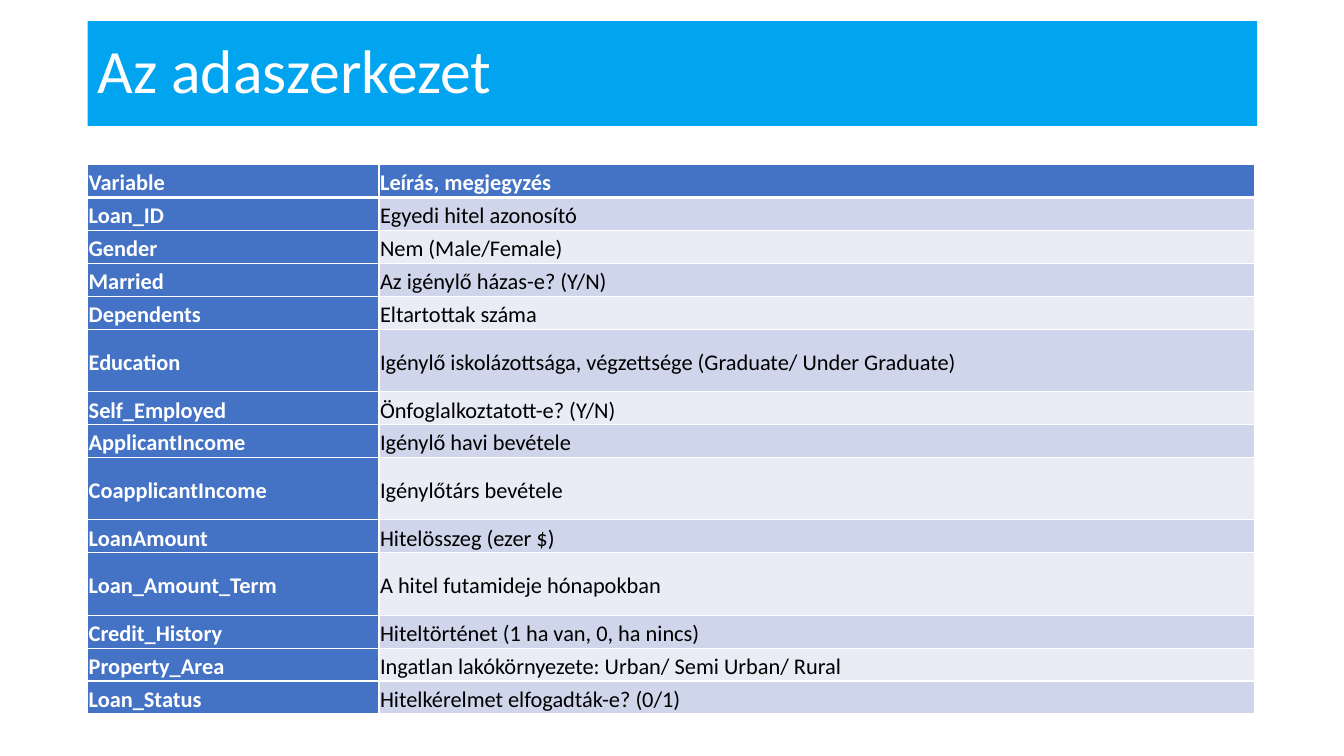
import pptx
import pptx.util
from lxml import etree
from pptx.dml.color import RGBColor
from pptx.enum.shapes import MSO_SHAPE
from pptx.enum.text import MSO_ANCHOR
from pptx.oxml.ns import qn
from pptx.util import Inches, Pt

TITLE = "Az adaszerkezet"
ROWS = [
    ("Variable", "Leírás, megjegyzés"),
    ("Loan_ID", "Egyedi hitel azonosító"),
    ("Gender", "Nem (Male/Female)"),
    ("Married", "Az igénylő házas-e? (Y/N)"),
    ("Dependents", "Eltartottak száma"),
    ("Education", "Igénylő iskolázottsága, végzettsége (Graduate/ Under Graduate)"),
    ("Self_Employed", "Önfoglalkoztatott-e? (Y/N)"),
    ("ApplicantIncome", "Igénylő havi bevétele"),
    ("CoapplicantIncome", "Igénylőtárs bevétele"),
    ("LoanAmount", "Hitelösszeg (ezer $)"),
    ("Loan_Amount_Term", "A hitel futamideje hónapokban"),
    ("Credit_History", "Hiteltörténet (1 ha van, 0, ha nincs)"),
    ("Property_Area", "Ingatlan lakókörnyezete: Urban/ Semi Urban/ Rural"),
    ("Loan_Status", "Hitelkérelmet elfogadták-e? (0/1)"),
]
TALL_ROWS = {"Education", "CoapplicantIncome", "Loan_Amount_Term"}
HEADER_HEIGHT, ROW_HEIGHT, TALL_HEIGHT = 0.33, 0.31, 0.62
COLUMN_WIDTHS = (2.89, 8.68)
LEFT, TITLE_TOP, TITLE_HEIGHT, TABLE_TOP = 0.87, 0.21, 1.04, 1.63
CELL_MARGIN = Inches(0.01)

FONT = "Calibri"
SKY = RGBColor(0x00, 0xA4, 0xEF)
TITLE_WHITE = RGBColor(0xFF, 0xFE, 0xFF)
WHITE = RGBColor(0xFF, 0xFF, 0xFF)
BLACK = RGBColor(0x00, 0x00, 0x00)
BLUE = RGBColor(0x44, 0x72, 0xC4)
BANDS = (RGBColor(0xE9, 0xEB, 0xF5), RGBColor(0xCF, 0xD5, 0xEA))


def set_font(p, size, color, bold=False):
    p.font.name = FONT
    p.font.size = Pt(size)
    p.font.color.rgb = color
    p.font.bold = bold


def set_borders(cell, top, bottom):
    """Draw white cell borders; top and bottom are widths in points."""
    tc_pr = cell._tc.get_or_add_tcPr()
    sides = (("a:lnL", 1), ("a:lnR", 1), ("a:lnT", top), ("a:lnB", bottom))
    for i, (tag, width) in enumerate(sides):
        ln = etree.Element(qn(tag), w=str(Pt(width)))
        fill = etree.SubElement(ln, qn("a:solidFill"))
        etree.SubElement(fill, qn("a:srgbClr"), val=str(WHITE))
        tc_pr.insert(i, ln)


def add_title(s):
    bar = s.shapes.add_shape(MSO_SHAPE.RECTANGLE, Inches(LEFT), Inches(TITLE_TOP),
                             Inches(11.6), Inches(TITLE_HEIGHT))
    bar.shadow.inherit = False
    bar.fill.solid()
    bar.fill.fore_color.rgb = SKY
    bar.line.fill.background()

    box = s.shapes.add_textbox(Inches(LEFT), Inches(TITLE_TOP),
                               Inches(10.47), Inches(TITLE_HEIGHT))
    tf = box.text_frame
    tf.word_wrap = True
    tf.vertical_anchor = MSO_ANCHOR.MIDDLE
    p = tf.paragraphs[0]
    p.text = TITLE
    p.line_spacing = 0.9
    set_font(p, 44, TITLE_WHITE)


def add_variable_table(s):
    heights = [HEADER_HEIGHT] + [TALL_HEIGHT if name in TALL_ROWS else ROW_HEIGHT
                                 for name, _ in ROWS[1:]]
    table = s.shapes.add_table(len(ROWS), len(COLUMN_WIDTHS), Inches(LEFT), Inches(TABLE_TOP),
                               Inches(sum(COLUMN_WIDTHS)), Inches(sum(heights))).table
    table.first_col = True
    for column, width in zip(table.columns, COLUMN_WIDTHS):
        column.width = Inches(width)
    for r, (texts, height) in enumerate(zip(ROWS, heights)):
        table.rows[r].height = Inches(height)
        for c, text in enumerate(texts):
            heading = r == 0 or c == 0
            cell = table.cell(r, c)
            cell.margin_left = cell.margin_right = CELL_MARGIN
            cell.margin_top = cell.margin_bottom = CELL_MARGIN
            cell.vertical_anchor = MSO_ANCHOR.MIDDLE
            cell.fill.solid()
            cell.fill.fore_color.rgb = BLUE if heading else BANDS[r % 2]
            set_borders(cell, top=3 if r == 1 else 1, bottom=3 if r == 0 else 1)
            p = cell.text_frame.paragraphs[0]
            p.text = text
            p.line_spacing = 1.15
            p.space_after = Pt(10)
            set_font(p, 16, WHITE if heading else BLACK, heading)


def main():
    prs = pptx.Presentation()
    prs.slide_width, prs.slide_height = Inches(13.33), Inches(7.5)
    s = prs.slides.add_slide(prs.slide_layouts[6])
    add_title(s)
    add_variable_table(s)
    prs.save("out.pptx")


if __name__ == "__main__":
    main()
